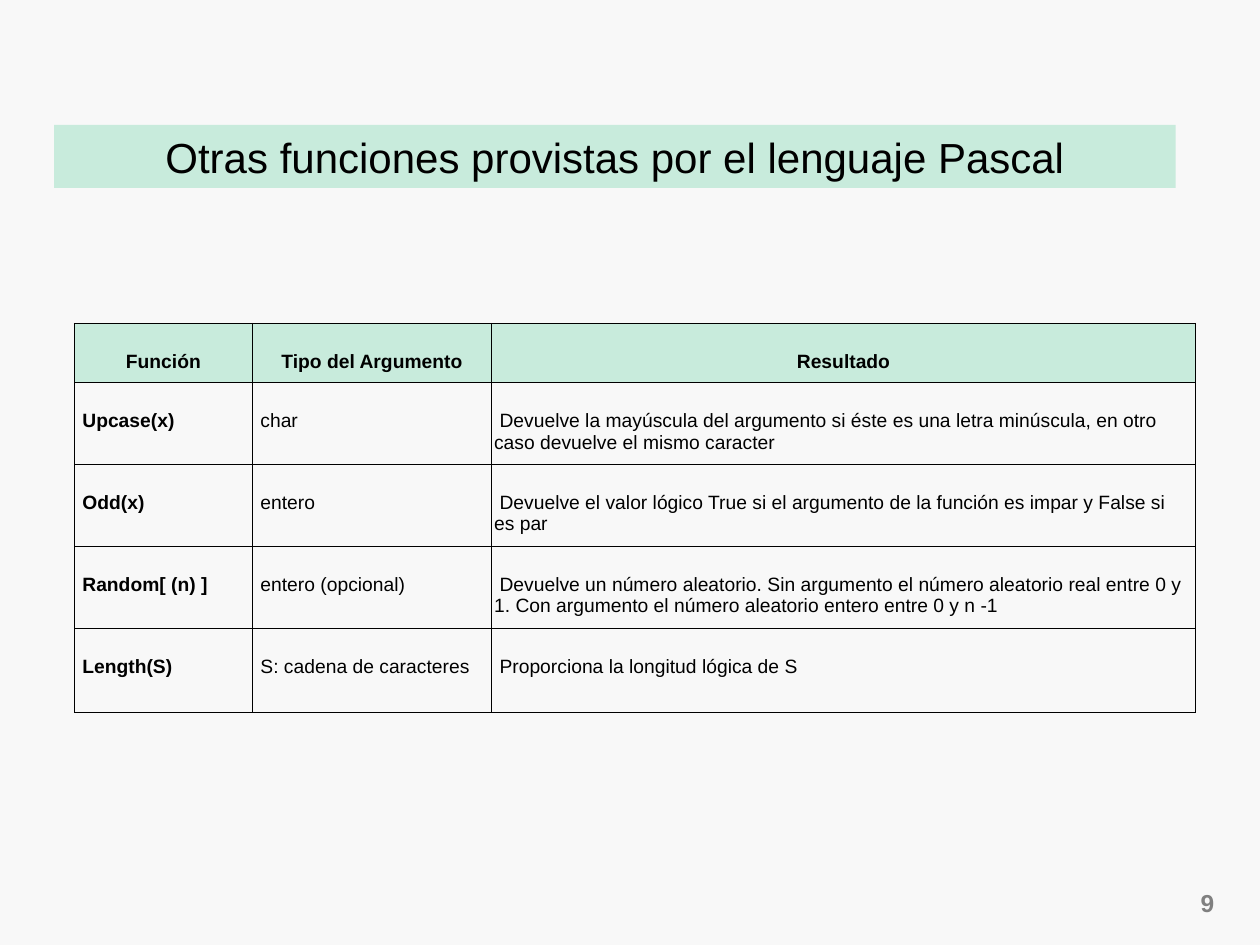
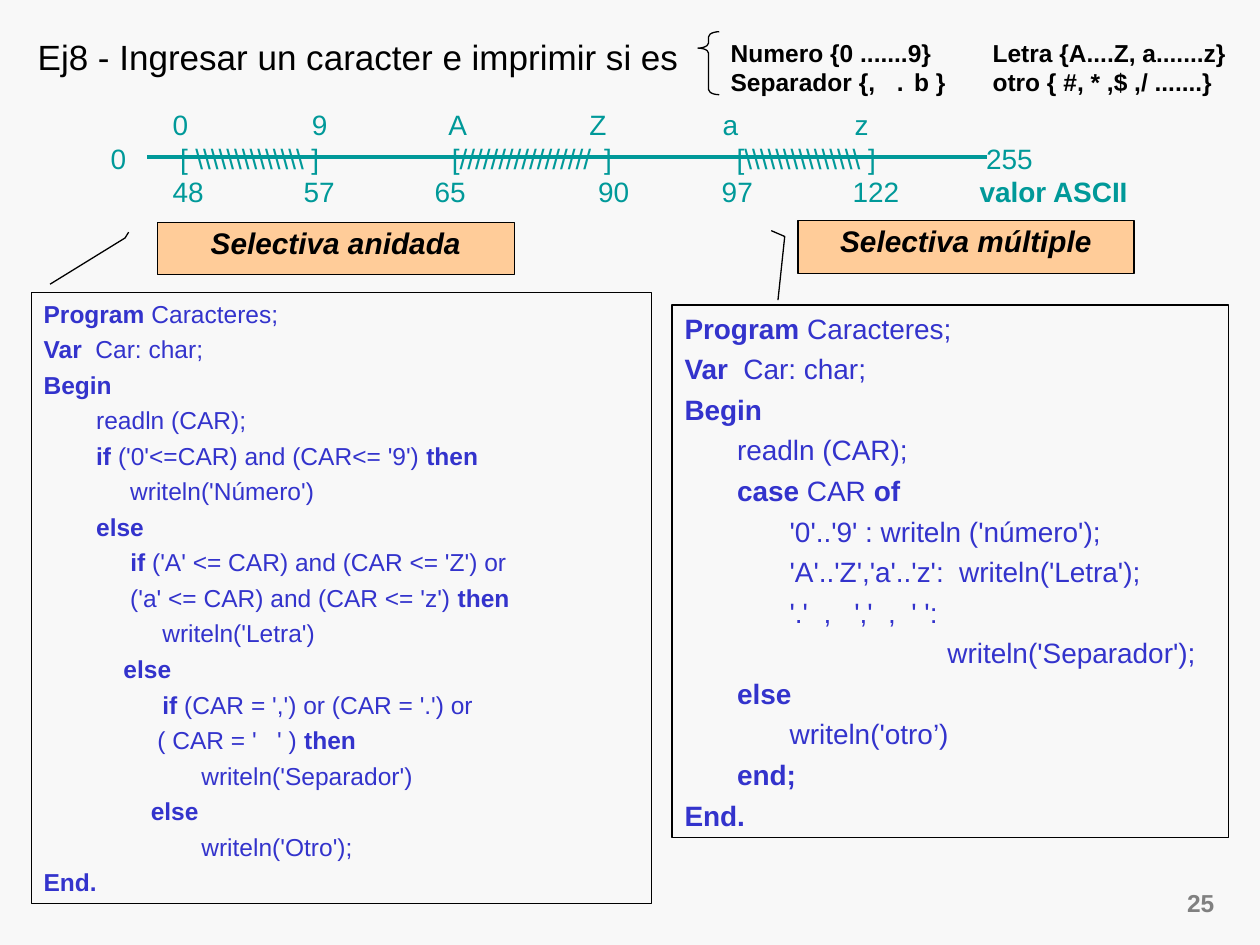
from lxml import etree
from pptx import Presentation
from pptx.dml.color import RGBColor
from pptx.enum.shapes import MSO_CONNECTOR, MSO_SHAPE as Shape
from pptx.enum.text import MSO_ANCHOR, PP_ALIGN as Align
from pptx.oxml import parse_xml
from pptx.oxml.ns import nsdecls, qn
from pptx.util import Cm, Pt

BACKGROUND, MINT, PEACH = "F8F8F8", "C8EBDC", "FFCC99"
BLACK, GRAY, TEAL, BLUE = "000000", "808080", "009999", "3333CC"
color = RGBColor.from_string


def write(frame, text, size=14, ink=BLACK, bold=False, italic=False, align=Align.LEFT,
          tabs=(), before=0, spacing=None, indent=0):
    frame.word_wrap = True
    frame.vertical_anchor = MSO_ANCHOR.TOP
    for number, line in enumerate(text.split("\n")):
        paragraph = frame.add_paragraph() if number else frame.paragraphs[0]
        properties = paragraph._p.get_or_add_pPr()
        if indent:
            properties.set("indent", str(Cm(indent)))
        if tabs:
            stops = etree.SubElement(properties, qn("a:tabLst"))
            for row_stop in tabs[number] if isinstance(tabs[0], tuple) else tabs:
                etree.SubElement(stops, qn("a:tab"), pos=str(Cm(row_stop)), algn="l")
        paragraph.alignment = align
        if spacing:
            paragraph.line_spacing = spacing
        if number and before:
            paragraph.space_before = Pt(before)
        for part, words in enumerate(line.split("**")):
            if words:
                run = paragraph.add_run()
                run.text = words
                run.font.name = "Arial"
                run.font.size = Pt(size)
                run.font.bold = bold or part % 2 == 1
                run.font.italic = italic
                run.font.color.rgb = color(ink)


def place(slide, kind, left, top, width, height, fill=None, line=None):
    area = Cm(left), Cm(top), Cm(width), Cm(height)
    if kind is None:
        return slide.shapes.add_textbox(*area)
    shape = slide.shapes.add_shape(kind, *area)
    shape.shadow.inherit = False
    if fill:
        shape.fill.solid()
        shape.fill.fore_color.rgb = color(fill)
    else:
        shape.fill.background()
    if line:
        shape.line.color.rgb = color(line)
        shape.line.width = Pt(0.75)
    else:
        shape.line.fill.background()
    return shape


prs = Presentation()
prs.slide_width, prs.slide_height = Cm(25.4), Cm(19.05)
prs.slide_master.background.fill.solid()
prs.slide_master.background.fill.fore_color.rgb = color(BACKGROUND)
functions, example = [prs.slides.add_slide(prs.slide_layouts[6]) for _ in range(2)]
for slide, page in ((functions, "9"), (example, "25")):
    page_number = place(slide, None, 23.08, 17.78, 1.65, 0.86)
    write(page_number.text_frame, page, ink=GRAY, bold=True, align=Align.RIGHT)

heading = place(functions, Shape.RECTANGLE, 1.09, 2.52, 22.61, 1.27, fill=MINT)
write(heading.text_frame, "Otras funciones provistas por el lenguaje Pascal", size=24,
      align=Align.CENTER)

ROWS = [
    ("Función", "Tipo del Argumento", "Resultado"),
    ("Upcase(x)", "char", "Devuelve la mayúscula del argumento si éste es una letra minúscula, "
     "en otro caso devuelve el mismo caracter"),
    ("Odd(x)", "entero", "Devuelve el valor lógico True si el argumento de la función es impar "
     "y False si es par"),
    ("Random[ (n) ]", "entero (opcional)", "Devuelve un número aleatorio. Sin argumento el "
     "número aleatorio real entre 0 y 1. Con argumento el número aleatorio entero entre 0 y n -1"),
    ("Length(S)", "S: cadena de caracteres", "Proporciona la longitud lógica de S"),
]
reference = functions.shapes.add_table(
    len(ROWS), 3, Cm(1.5), Cm(6.52), Cm(22.6), Cm(7.83)).table
reference.first_row = reference.horz_banding = False
for column, width in zip(reference.columns, (3.59, 4.82, 14.19)):
    column.width = Cm(width)
for row, height in zip(reference.rows, (1.19, 1.65, 1.65, 1.65, 1.69)):
    row.height = Cm(height)
for r, entries in enumerate(ROWS):
    for c, entry in enumerate(entries):
        cell = reference.cell(r, c)
        header = r == 0
        for side in ("lnL", "lnR", "lnT", "lnB"):
            cell._tc.get_or_add_tcPr().append(parse_xml(
                f'<a:{side} {nsdecls("a")} w="{Pt(0.75 if header else 0.45)}"><a:solidFill>'
                f'<a:srgbClr val="{BLACK}"/></a:solidFill></a:{side}>'))
        if header:
            cell.fill.solid()
            cell.fill.fore_color.rgb = color(MINT)
        else:
            cell.fill.background()
        cell.margin_left = Cm(0.05)
        cell.margin_right = Cm(0.05 if header else 0.2)
        cell.margin_top, cell.margin_bottom = Cm(0.56), Cm(0.12)
        write(cell.text_frame, entry, size=11, bold=header or c == 0,
              align=Align.CENTER if header else Align.LEFT, indent=0 if header else 0.11)

task = place(example, None, 0.51, 0.6, 13.56, 1.2)
write(task.text_frame, "Ej8 - Ingresar un caracter e imprimir si es", size=20)
task.text_frame.margin_right = 0

NESTED = """**Program **Caracteres;
**Var**  Car: char;
**Begin**
\treadln (CAR);
\t**if** ('0'<=CAR) and (CAR<= '9') **then**
\t     writeln('Número')
\t**else**
\t     **if** ('A' <= CAR) and (CAR <= 'Z') or
\t     ('a' <= CAR) and (CAR <= 'z') **then**
\t\t  writeln('Letra')
\t    **else**
\t\t  **if** (CAR = ',') or (CAR = '.') or
\t         ( CAR = '   ' ) **then**
\t\t\twriteln('Separador')
\t        **else**
\t\t\twriteln('Otro');
**End.**"""
MULTIPLE = """**Program **Caracteres;
**Var**  Car: char;
**Begin**
\treadln (CAR);
\t**case** CAR **of**
\t\t'0'..'9' : writeln ('número');
\t\t'A'..'Z','a'..'z':  writeln('Letra');
\t\t'.'  ,   ','  ,  ' ':
\t\t\t\t\twriteln('Separador');
\t**else**
\t\twriteln('otro’)
\t**end;**
**End.**"""
code_tabs = [1.06 * step for step in range(1, 8)]
for code, area, size in ((NESTED, (0.63, 5.9, 12.5, 12.31), 14),
                         (MULTIPLE, (13.55, 6.15, 11.22, 10.74), 16)):
    program = place(example, Shape.RECTANGLE, *area, line=BLACK)
    write(program.text_frame, code, size=size, ink=BLUE, tabs=code_tabs, before=size / 4)

for label, area, pointer in (
        ("Selectiva anidada", (3.17, 4.48, 7.2, 1.06), (0.19, -0.08, 0.3, -0.09, 1.18, -0.3)),
        ("Selectiva múltiple", (16.09, 4.45, 6.77, 1.06), (0.19, -0.08, 0.3, -0.04, 1.51, -0.06))):
    callout = place(example, Shape.LINE_CALLOUT_2, *area, fill=PEACH, line=BLACK)
    for index, value in enumerate(pointer):
        callout.adjustments[index] = value
    write(callout.text_frame, label, size=17, bold=True, italic=True, align=Align.CENTER,
          spacing=0.9)

classes = place(example, None, 14.48, 0.64, 10.62, 1.48)
write(classes.text_frame, "Numero {0 .......9}\tLetra {A....Z, a.......z}\n"
      "Separador {,\t.\tb }\totro { #, * ,$ ,/ .......}", bold=True, tabs=(3.35, 3.7, 5.28))
brace = place(example, Shape.LEFT_BRACE, 14.07, 0.64, 0.43, 1.27, line=BLACK)
brace.adjustments[0], brace.adjustments[1] = 0.24, 0.26

ascii_scale = place(example, None, 1.98, 2.05, 21.23, 2.97)
digits, capitals, lowercase = "\\" * 14, "/" * 17, "\\" * 15
write(ascii_scale.text_frame,
      "\t0\t9\tA\tZ\ta\tz\n"
      f"0\t[ {digits} ]\t[{capitals}\t]\t[{lowercase}\t]\t255\n"
      "\t48\t57\t65\t90\t97\t122\t**valor ASCII**",
      size=16, ink=TEAL,
      tabs=((1.25, 4.06, 6.81, 9.65, 12.34, 15),
            (1.4, 6.88, 9.95, 12.62, 15.27, 17.65),
            (1.25, 3.89, 6.53, 9.83, 12.32, 14.96, 17.52)))
axis = example.shapes.add_connector(
    MSO_CONNECTOR.STRAIGHT, Cm(2.97), Cm(3.17), Cm(19.89), Cm(3.17))
axis.line.color.rgb = color(TEAL)
axis.line.width = Pt(2.25)
etree.SubElement(axis._element.spPr, qn("a:effectLst"))

prs.save("out.pptx")
